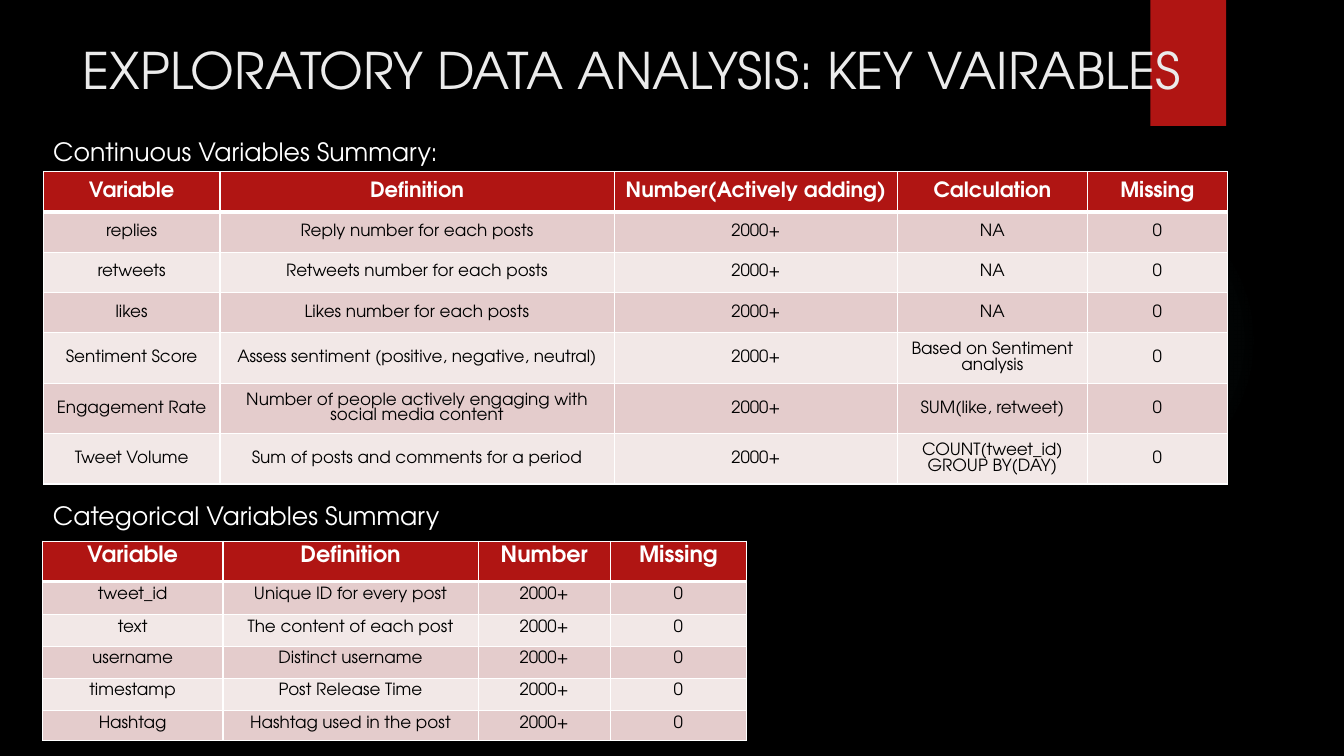
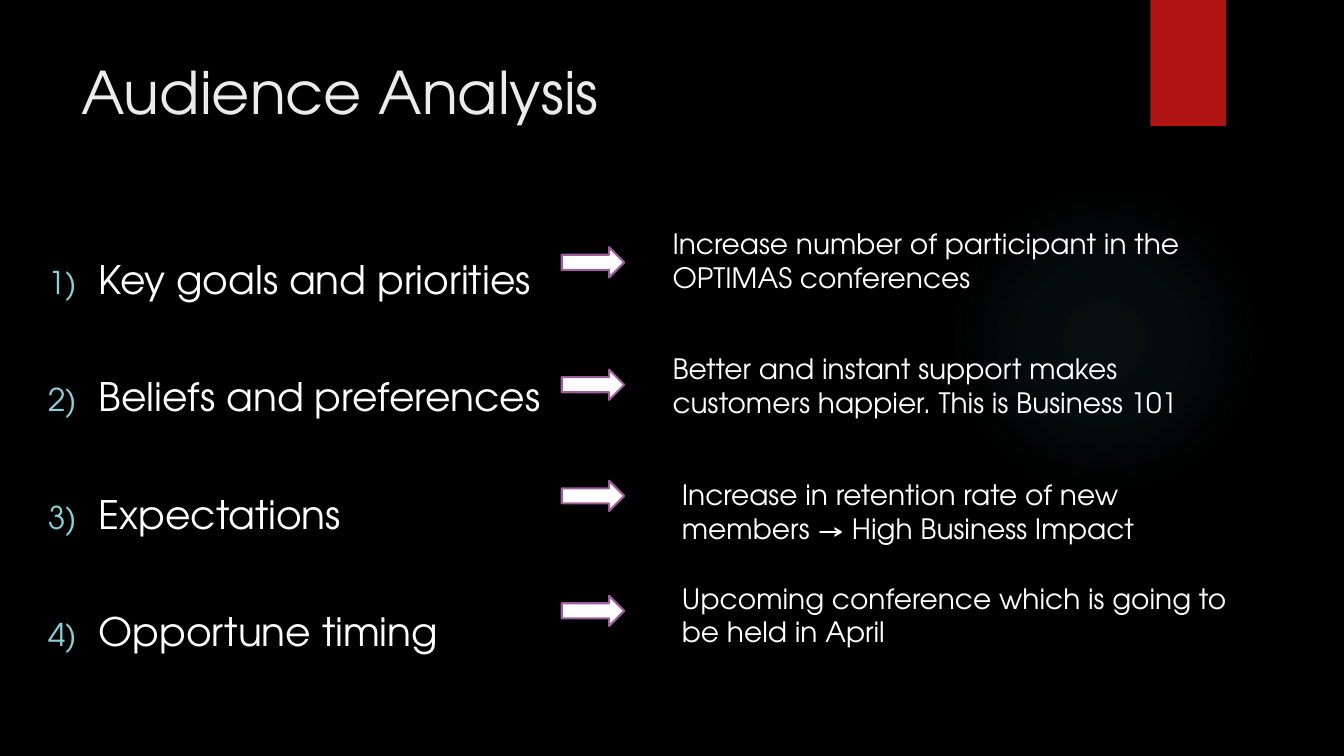
from lxml.etree import SubElement, fromstring
from pptx import Presentation
from pptx.dml.color import RGBColor
from pptx.enum.shapes import MSO_SHAPE
from pptx.enum.text import MSO_ANCHOR, MSO_AUTO_SIZE, PP_ALIGN
from pptx.oxml.ns import nsdecls, qn
from pptx.util import Inches, Pt

FONT = "TeX Gyre Adventor"
BLACK, WHITE, TITLE = "000000", "FFFFFF", "EBEBEB"
RED, TEAL, BULLET, PURPLE = "B01513", "50B9C1", "8AD0D6", "9E5E9B"
BANDS = ["E4CCCC", "F2E8E7"]
W, H = Inches(13.33), Inches(7.5)


# Shared helpers
def rgb(color):
    return RGBColor.from_string(color)


def box(x, y, w, h):
    """Percent of the slide's width and height to lengths."""
    return [round(v * side / 100) for v, side in zip((x, y, w, h), (W, H, W, H))]


def place(sp, area):
    sp.left, sp.top, sp.width, sp.height = box(*area)


def add_run(p, text, size, color, bold=False):
    r = p.add_run()
    r.text = text
    f = r.font
    f.name, f.size, f.bold = FONT, Pt(size), bold
    f.color.rgb = rgb(color)


def add_shape(s, kind, area, fill, line=None):
    sp = s.shapes.add_shape(kind, *box(*area))
    sp.shadow.inherit = False
    sp.fill.solid()
    sp.fill.fore_color.rgb = rgb(fill)
    if line:
        sp.line.color.rgb = rgb(line)
        sp.line.width = Pt(1.5)
    else:
        sp.line.fill.background()
    return sp


def add_text(s, area, text, size):
    tf = s.shapes.add_textbox(*box(*area)).text_frame
    tf.word_wrap = True
    add_run(tf.paragraphs[0], text, size, WHITE)


def fill_placeholder(ph, area, lines, size, color):
    place(ph, area)
    tf = ph.text_frame
    tf.auto_size = MSO_AUTO_SIZE.NONE
    tf.word_wrap = True
    tf.vertical_anchor = MSO_ANCHOR.TOP
    for i, line in enumerate(lines):
        p = tf.add_paragraph() if i else tf.paragraphs[0]
        p.alignment = PP_ALIGN.LEFT
        add_run(p, line, size, color)
    return tf.paragraphs


def new_slide(prs, title, title_area, size):
    s = prs.slides.add_slide(prs.slide_layouts[1])
    fill_placeholder(s.shapes.title, title_area, [title], size, TITLE)
    return s


# Master: black ground, soft glow and red ribbon
def decorate_master(prs, s):
    master = prs.slide_master
    master.background.fill.solid()
    master.background.fill.fore_color.rgb = rgb(BLACK)
    glow = add_shape(s, MSO_SHAPE.OVAL, (70.6, 24.4, 23.1, 41.1), TEAL)
    stops = "".join(
        f'<a:gs pos="{pos}000"><a:srgbClr val="{TEAL}"><a:alpha val="{alpha}000"/>'
        "</a:srgbClr></a:gs>" for pos, alpha in [(0, 7), (36, 6), (69, 0)])
    grad = fromstring(
        f'<a:gradFill {nsdecls("a")}><a:gsLst>{stops}</a:gsLst><a:path path="circle">'
        '<a:fillToRect l="50000" t="50000" r="50000" b="50000"/></a:path></a:gradFill>')
    spPr = glow.element.spPr
    spPr.replace(spPr.find(qn("a:solidFill")), grad)
    ribbon = add_shape(s, MSO_SHAPE.RECTANGLE, (85.6, 0, 5.63, 16.67), RED)
    for i, sp in enumerate((glow, ribbon)):
        sp.element.nvSpPr.cNvPr.set("id", str(20 + i))
        master.shapes.element.insert(2 + i, sp.element)


# Tables
def set_borders(cell, bottom):
    tcPr = cell._tc.get_or_add_tcPr()
    for side, width in zip("LRTB", (1, 1, 1, bottom)):
        ln = SubElement(tcPr, qn(f"a:ln{side}"), w=str(Pt(width)))
        SubElement(SubElement(ln, qn("a:solidFill")), qn("a:srgbClr"), val=WHITE)


def add_grid(s, area, cols, rows, data, head_size, middle=False):
    """cols and rows are relative sizes within the area."""
    x, y, w, h = box(*area)
    table = s.shapes.add_table(len(rows), len(cols), x, y, w, h).table
    for col, share in zip(table.columns, cols):
        col.width = round(w * share / sum(cols))
    for i, (row, share, texts) in enumerate(zip(table.rows, rows, data)):
        row.height = round(h * share / sum(rows))
        head = i == 0
        for cell, text in zip(row.cells, texts):
            set_borders(cell, 3 if head else 1)
            cell.fill.solid()
            cell.fill.fore_color.rgb = rgb(RED if head else BANDS[(i - 1) % 2])
            if middle:
                cell.vertical_anchor = MSO_ANCHOR.MIDDLE
                cell.margin_left = cell.margin_right = Inches(0.05)
            tf = cell.text_frame
            for j, line in enumerate(text.split("\n")):
                p = tf.add_paragraph() if j else tf.paragraphs[0]
                p.alignment = PP_ALIGN.CENTER
                add_run(p, line, head_size if head else 12,
                        WHITE if head else BLACK, head)


CONTINUOUS = [
    ("Variable", "Definition", "Number(Actively adding)", "Calculation", "Missing"),
    ("replies", "Reply number for each posts", "2000+", "NA", "0"),
    ("retweets", "Retweets number for each posts", "2000+", "NA", "0"),
    ("likes", "Likes number for each posts", "2000+", "NA", "0"),
    ("Sentiment Score", "Assess sentiment (positive, negative, neutral)", "2000+",
     "Based on Sentiment analysis", "0"),
    ("Engagement Rate", "Number of people actively engaging with social media content",
     "2000+", "SUM(like, retweet)", "0"),
    ("Tweet Volume", "Sum of posts and comments for a period", "2000+",
     "COUNT(tweet_id)\nGROUP BY(DAY)", "0"),
]
CATEGORICAL = [
    ("Variable", "Definition", "Number", "Missing"),
    ("tweet_id", "Unique ID for every post", "2000+", "0"),
    ("text", "The content of each post", "2000+", "0"),
    ("username", "Distinct username", "2000+", "0"),
    ("timestamp", "Post Release Time", "2000+", "0"),
    ("Hashtag", "Hashtag used in the post", "2000+", "0"),
]


def variables_slide(prs):
    s = new_slide(prs, "EXPLORATORY DATA ANALYSIS: KEY VAIRABLES",
                  (5.4, 4.5, 89.8, 20.4), 36)
    p = fill_placeholder(s.placeholders[1], (3.2, 17.3, 74.6, 5.3),
                         ["Continuous Variables Summary:"], 18, WHITE)[0]
    pPr = p._p.get_or_add_pPr()
    pPr.set("marL", "0")
    pPr.set("indent", "0")
    p.space_before = Pt(10)
    SubElement(pPr, qn("a:buNone"))
    add_text(s, (3.2, 65.5, 52, 5.3), "Categorical Variables Summary", 18)
    add_grid(s, (3.15, 71.6, 52.4, 26.4), [179, 253, 131, 135],
             [40, 33, 31, 32, 32, 30], CATEGORICAL, 16)
    add_grid(s, (3.23, 22.7, 88.1, 41.3), [175, 391, 281, 188, 139],
             [4, 4, 4, 4, 5, 5, 5], CONTINUOUS, 15, middle=True)
    return s


# Numbered list with an arrow and an outcome for each item
def number_item(p):
    p.line_spacing = 2.2
    p.space_before = Pt(10)
    pPr = p._p.get_or_add_pPr()
    pPr.set("marL", str(Inches(0.5)))
    pPr.set("indent", str(-Inches(0.5)))
    SubElement(SubElement(pPr, qn("a:buClr")), qn("a:srgbClr"), val=BULLET)
    SubElement(pPr, qn("a:buSzPct"), val="80000")
    SubElement(pPr, qn("a:buFont"), typeface=FONT)
    SubElement(pPr, qn("a:buAutoNum"), type="arabicParenR")


# Item, arrow top, outcome left, top and width, outcome
AUDIENCE = [
    ("Key goals and priorities", 32.7, 49.3, 29.3, 41.9,
     "Increase number of participant in the OPTIMAS conferences"),
    ("Beliefs and preferences", 48.9, 49.3, 45.9, 41.9,
     "Better and instant support makes customers happier. This is Business 101"),
    ("Expectations", 63.6, 50, 62.5, 39,
     "Increase in retention rate of new members → High Business Impact"),
    ("Opportune timing", 78.8, 50, 76.2, 43.7,
     "Upcoming conference which is going to be held in April"),
]


def audience_slide(prs):
    s = new_slide(prs, "Audience Analysis", (5.3, 6.7, 77.2, 20.4), 42)
    items = fill_placeholder(s.placeholders[1], (2.85, 25.6, 38.9, 59.6),
                             [row[0] for row in AUDIENCE], 28, WHITE)
    for p, (_, arrow_y, x, y, w, outcome) in zip(items, AUDIENCE):
        number_item(p)
        add_shape(s, MSO_SHAPE.RIGHT_ARROW, (41.8, arrow_y, 4.65, 4), WHITE, PURPLE)
        add_text(s, (x, y, w, 10.3), outcome, 20)


def main():
    prs = Presentation()
    prs.slide_width, prs.slide_height = W, H
    decorate_master(prs, variables_slide(prs))
    audience_slide(prs)
    prs.save("out.pptx")


if __name__ == "__main__":
    main()
